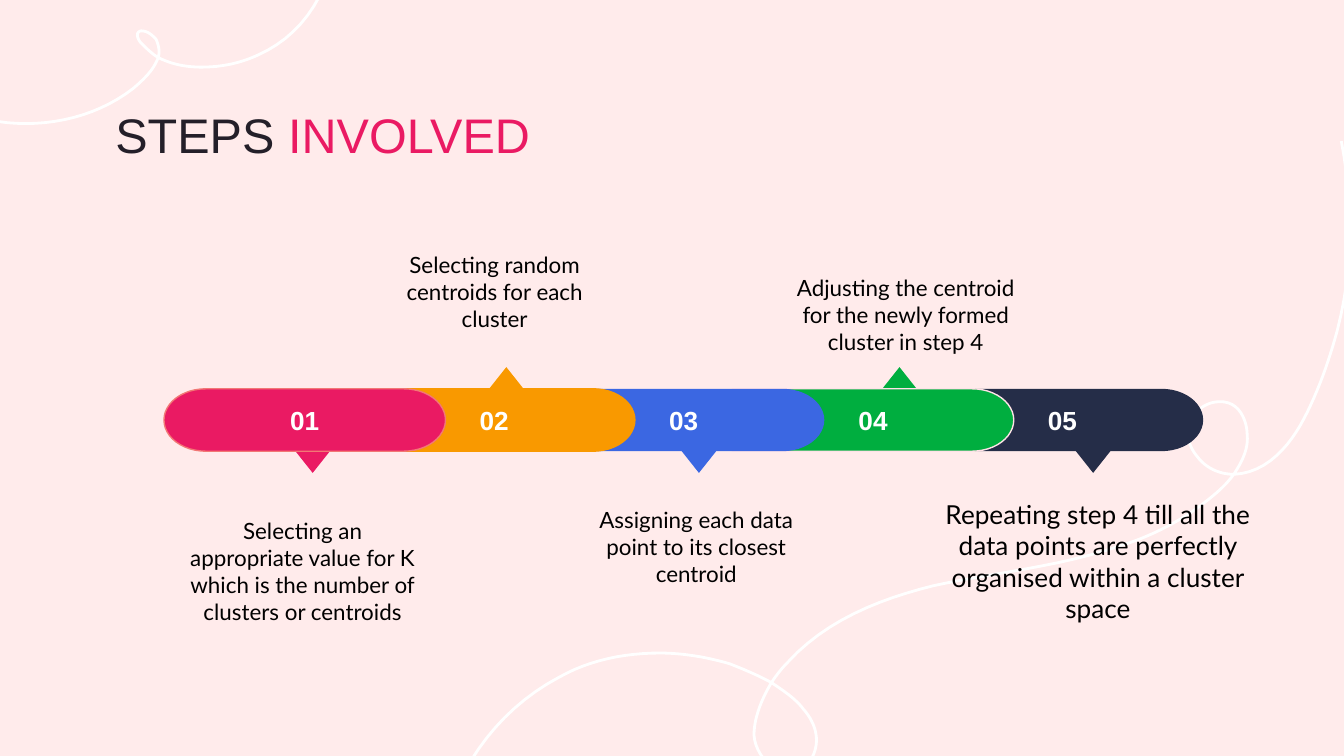
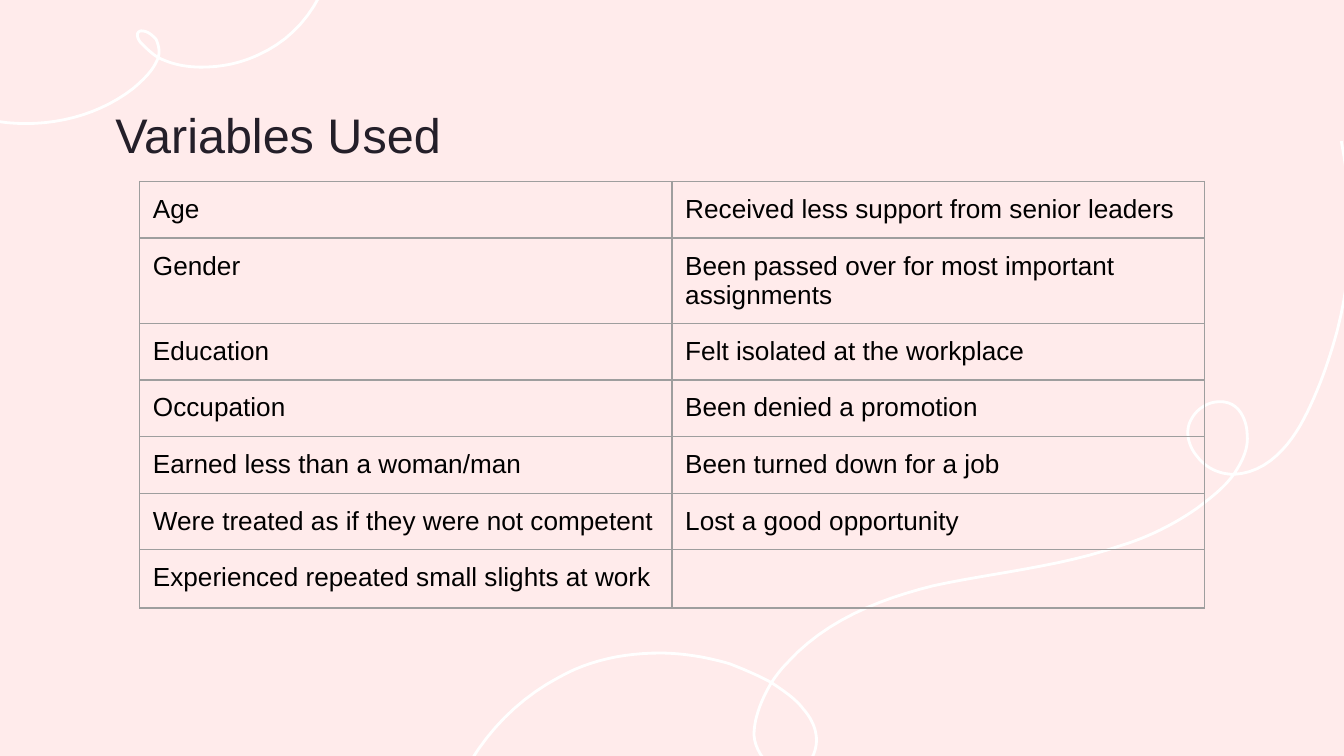
from dataclasses import dataclass
from math import cos, pi, sin
from typing import NamedTuple, Optional

from lxml.etree import SubElement
from pptx import Presentation
from pptx.dml.color import RGBColor
from pptx.enum.shapes import MSO_SHAPE
from pptx.enum.text import MSO_ANCHOR, MSO_AUTO_SIZE, PP_ALIGN
from pptx.oxml.ns import qn
from pptx.util import Cm, Pt


@dataclass(frozen=True)
class Theme:
    background: str = "FFEBEB"
    curl: str = "FFFFFF"
    ink: str = "241F29"
    text: str = "000000"
    on_colour: str = "FFFFFF"
    pink: str = "EA1A63"
    orange: str = "F99900"
    blue: str = "3B67E2"
    green: str = "00AE3F"
    navy: str = "252D48"
    pink_edge: str = "F27775"
    green_edge: str = "FFE2E7"
    grid: str = "9E9E9E"
    font: str = "Arial"
    caption_font: str = "Lato"
    title_size: float = 26
    body_size: float = 14
    caption_size: float = 12
    line: float = 0.75
    curl_line: float = 1.5


THEME = Theme()
INSET = Cm(0.25)


class Caption(NamedTuple):
    left: float
    top: float
    text: str
    width: float = 4.78
    height: float = 1.47
    size: float = THEME.caption_size
    fit: bool = False


class Step(NamedTuple):
    fill: str
    edge: Optional[str]
    marker_x: float
    caption: Caption


class Curl(NamedTuple):
    """A start point and Bezier segments, in thousandths of the slide width."""
    start: tuple
    segments: list


STEPS = [
    Step(THEME.pink, THEME.pink_edge, 5.91, Caption(
        3.33, 10.06, "Selecting an appropriate value for K which is the number of clusters or centroids")),
    Step(THEME.orange, THEME.orange, 9.57, Caption(
        6.96, 4.78, "Selecting random centroids for each cluster")),
    Step(THEME.blue, None, 13.21, Caption(
        10.77, 9.6, "Assigning each data point to its closest centroid")),
    Step(THEME.green, THEME.green_edge, 17.0, Caption(
        14.73, 5.21, "Adjusting the centroid for the newly formed cluster in step 4")),
    Step(THEME.navy, None, 20.66, Caption(
        17.55, 9.17, "Repeating step 4 till all the data points are perfectly organised within a cluster space",
        6.4, 2.9, THEME.body_size, True)),
]

VARIABLES = [
    ("Age", "Received less support from senior leaders"),
    ("Gender", "Been passed over for most important assignments"),
    ("Education", "Felt isolated at the workplace"),
    ("Occupation", "Been denied a promotion"),
    ("Earned less than a woman/man", "Been turned down for a job"),
    ("Were treated as if they were not competent", "Lost a good opportunity"),
    ("Experienced repeated small slights at work", ""),
]

CURLS = [
    Curl((998, 105), [
        (1007, 151, 1007, 200, 995, 246), (989, 268, 981, 291, 970, 312),
        (960, 331, 943, 352, 918, 353), (907, 353, 897, 348, 891, 340),
        (884, 332, 881, 320, 887, 311), (891, 304, 899, 299, 907, 299),
        (922, 298, 928, 313, 928, 324), (929, 334, 924, 344, 918, 353),
        (910, 364, 900, 371, 891, 378), (874, 390, 854, 400, 834, 406),
        (788, 422, 740, 426, 694, 436), (654, 446, 614, 462, 586, 493),
        (582, 497, 578, 502, 574, 508), (568, 518, 561, 533, 561, 547),
        (562, 562, 576, 576, 588, 576), (598, 574, 605, 566, 607, 556),
        (609, 546, 605, 536, 598, 528), (592, 520, 583, 514, 574, 508),
        (563, 502, 553, 498, 543, 494), (526, 489, 508, 486, 491, 486),
        (465, 486, 439, 491, 416, 504), (380, 523, 352, 555, 337, 593),
    ]),
    Curl((-57, 68), [
        (-35, 84, -8, 92, 19, 92), (49, 92, 77, 83, 99, 66),
        (106, 60, 115, 52, 118, 42), (119, 38, 118, 33, 116, 29),
        (113, 26, 110, 23, 105, 23), (100, 24, 103, 30, 105, 32),
        (109, 36, 113, 40, 118, 43), (128, 48, 139, 50, 150, 50),
        (165, 50, 179, 47, 192, 41), (221, 28, 242, 2, 250, -39),
    ]),
]

PILL_LEFT, PILL_TOP, PILL_PITCH = 3.1, 7.35, 3.58
PILL_WIDTH, PILL_HEIGHT, CAP = 5.32, 1.18, 0.79
MARKER_WIDTH, MARKER_HEIGHT = 0.65, 0.41


def rgb(colour: str) -> RGBColor:
    return RGBColor.from_string(colour)


def paint(shape, fill: Optional[str], edge: Optional[str], width: float = THEME.line) -> None:
    shape.shadow.inherit = False
    if fill:
        shape.fill.solid()
        shape.fill.fore_color.rgb = rgb(fill)
    else:
        shape.fill.background()
    if edge:
        shape.line.color.rgb = rgb(edge)
        shape.line.width = Pt(width)
    else:
        shape.line.fill.background()


def set_frame(tf, anchor: MSO_ANCHOR) -> None:
    tf.word_wrap = True
    tf.auto_size = MSO_AUTO_SIZE.NONE
    tf.vertical_anchor = anchor
    tf.margin_left = tf.margin_right = tf.margin_top = tf.margin_bottom = INSET


def add_run(p, text: str, size: float, colour: str, font: str = THEME.font, bold: bool = False) -> None:
    r = p.add_run()
    r.text = text
    r.font.name, r.font.size, r.font.bold = font, Pt(size), bold
    r.font.color.rgb = rgb(colour)


def outline(shapes, points: list, close: bool):
    """Build a freeform through points given in EMU."""
    builder = shapes.build_freeform(*points[0])
    builder.add_line_segments(points[1:], close=close)
    return builder.convert_to_shape()


def curl_points(curl: Curl, unit: float, steps: int = 12) -> list:
    x0, y0 = curl.start
    points = [(round(x0 * unit), round(y0 * unit))]
    for x1, y1, x2, y2, x3, y3 in curl.segments:
        for i in range(1, steps + 1):
            t = i / steps
            a, b, c, d = (1 - t) ** 3, 3 * t * (1 - t) ** 2, 3 * t * t * (1 - t), t ** 3
            points.append((round((a * x0 + b * x1 + c * x2 + d * x3) * unit),
                           round((a * y0 + b * y1 + c * y2 + d * y3) * unit)))
        x0, y0 = x3, y3
    return points


def pill_points(left: float, round_left: bool, steps: int = 24) -> list:
    right, middle = left + PILL_WIDTH, PILL_TOP + PILL_HEIGHT / 2

    def cap(centre: float, start: float) -> list:
        angles = [start + pi * i / steps for i in range(steps + 1)]
        return [(Cm(centre + CAP * cos(a)), Cm(middle + PILL_HEIGHT / 2 * sin(a))) for a in angles]

    if round_left:
        tail = cap(left + CAP, pi / 2)
    else:
        tail = [(Cm(left), Cm(PILL_TOP + PILL_HEIGHT)), (Cm(left), Cm(PILL_TOP))]
    return cap(right - CAP, -pi / 2) + tail


def add_marker(shapes, step: Step, points_up: bool) -> None:
    kind = MSO_SHAPE.ISOSCELES_TRIANGLE if points_up else MSO_SHAPE.FLOWCHART_MERGE
    top = PILL_TOP - MARKER_HEIGHT if points_up else PILL_TOP + PILL_HEIGHT
    marker = shapes.add_shape(kind, Cm(step.marker_x - MARKER_WIDTH / 2), Cm(top),
                              Cm(MARKER_WIDTH), Cm(MARKER_HEIGHT))
    paint(marker, step.fill, None)


def add_pill(shapes, index: int, step: Step) -> None:
    pill = outline(shapes, pill_points(PILL_LEFT + index * PILL_PITCH, index == 0), True)
    paint(pill, step.fill, step.edge)
    set_frame(pill.text_frame, MSO_ANCHOR.MIDDLE)
    p = pill.text_frame.paragraphs[0]
    p.alignment = PP_ALIGN.CENTER
    add_run(p, f"{index + 1:02}", THEME.body_size, THEME.on_colour, bold=True)


def add_caption(s, caption: Caption) -> None:
    box = s.shapes.add_textbox(Cm(caption.left), Cm(caption.top), Cm(caption.width), Cm(caption.height))
    tf = box.text_frame
    set_frame(tf, MSO_ANCHOR.TOP if caption.fit else MSO_ANCHOR.MIDDLE)
    if caption.fit:
        tf.auto_size = MSO_AUTO_SIZE.SHAPE_TO_FIT_TEXT
    p = tf.paragraphs[0]
    p.alignment = PP_ALIGN.CENTER
    add_run(p, caption.text, caption.size, THEME.text, THEME.caption_font)


def add_titled_slide(prs, *parts: tuple):
    """Add a slide whose title is made of (text, colour) parts."""
    s = prs.slides.add_slide(prs.slide_layouts[5])
    title = s.shapes.title
    title.left, title.top, title.width, title.height = Cm(1.93), Cm(1.63), Cm(21.51), Cm(1.52)
    set_frame(title.text_frame, MSO_ANCHOR.TOP)
    p = title.text_frame.paragraphs[0]
    p.alignment = PP_ALIGN.LEFT
    p.line_spacing = 1.1
    for text, colour in parts:
        add_run(p, text, THEME.title_size, colour)
    return s


def decorate_layout(prs, s) -> None:
    """Give the layout of s its background and curls."""
    layout = s.slide_layout
    fill = layout.background.fill
    fill.solid()
    fill.fore_color.rgb = rgb(THEME.background)
    for i, curl in enumerate(CURLS):
        shape = outline(s.shapes, curl_points(curl, prs.slide_width / 1000), False)
        paint(shape, None, THEME.curl, THEME.curl_line)
        shape.element.nvSpPr.cNvPr.id = 100 + i
        layout.shapes.element.append(shape.element)


def set_borders(cell) -> None:
    props = cell._tc.get_or_add_tcPr()
    for i, side in enumerate(("a:lnL", "a:lnR", "a:lnT", "a:lnB")):
        line = props.makeelement(qn(side), {"w": str(Pt(THEME.line))})
        SubElement(SubElement(line, qn("a:solidFill")), qn("a:srgbClr"), val=THEME.grid)
        props.insert(i, line)


def add_variables_table(s) -> None:
    rows, cols = len(VARIABLES), len(VARIABLES[0])
    width, height = Cm(10.06), Cm(1.07)
    table = s.shapes.add_table(rows, cols, Cm(2.64), Cm(3.43), width * cols, height * rows).table
    table.first_row = table.horz_banding = False
    for r, texts in enumerate(VARIABLES):
        table.rows[r].height = height
        for c, text in enumerate(texts):
            cell = table.cell(r, c)
            cell.fill.background()
            cell.margin_left = cell.margin_right = cell.margin_top = cell.margin_bottom = INSET
            set_borders(cell)
            p = cell.text_frame.paragraphs[0]
            if text:
                add_run(p, text, THEME.body_size, THEME.text)
            else:
                SubElement(p._p, qn("a:endParaRPr"), sz=str(int(THEME.body_size * 100)))


def main() -> None:
    prs = Presentation()
    prs.slide_width, prs.slide_height = Cm(25.4), Cm(14.29)

    s = add_titled_slide(prs, ("STEPS ", THEME.ink), ("INVOLVED", THEME.pink))
    decorate_layout(prs, s)
    timeline = s.shapes.add_group_shape().shapes
    for i, step in enumerate(STEPS):
        add_marker(timeline, step, points_up=i % 2 == 1)
    for i, step in reversed(list(enumerate(STEPS))):
        add_pill(timeline, i, step)
    for step in STEPS:
        add_caption(s, step.caption)

    s = add_titled_slide(prs, ("Variables Used", THEME.ink))
    add_variables_table(s)
    prs.save("out.pptx")


if __name__ == "__main__":
    main()
